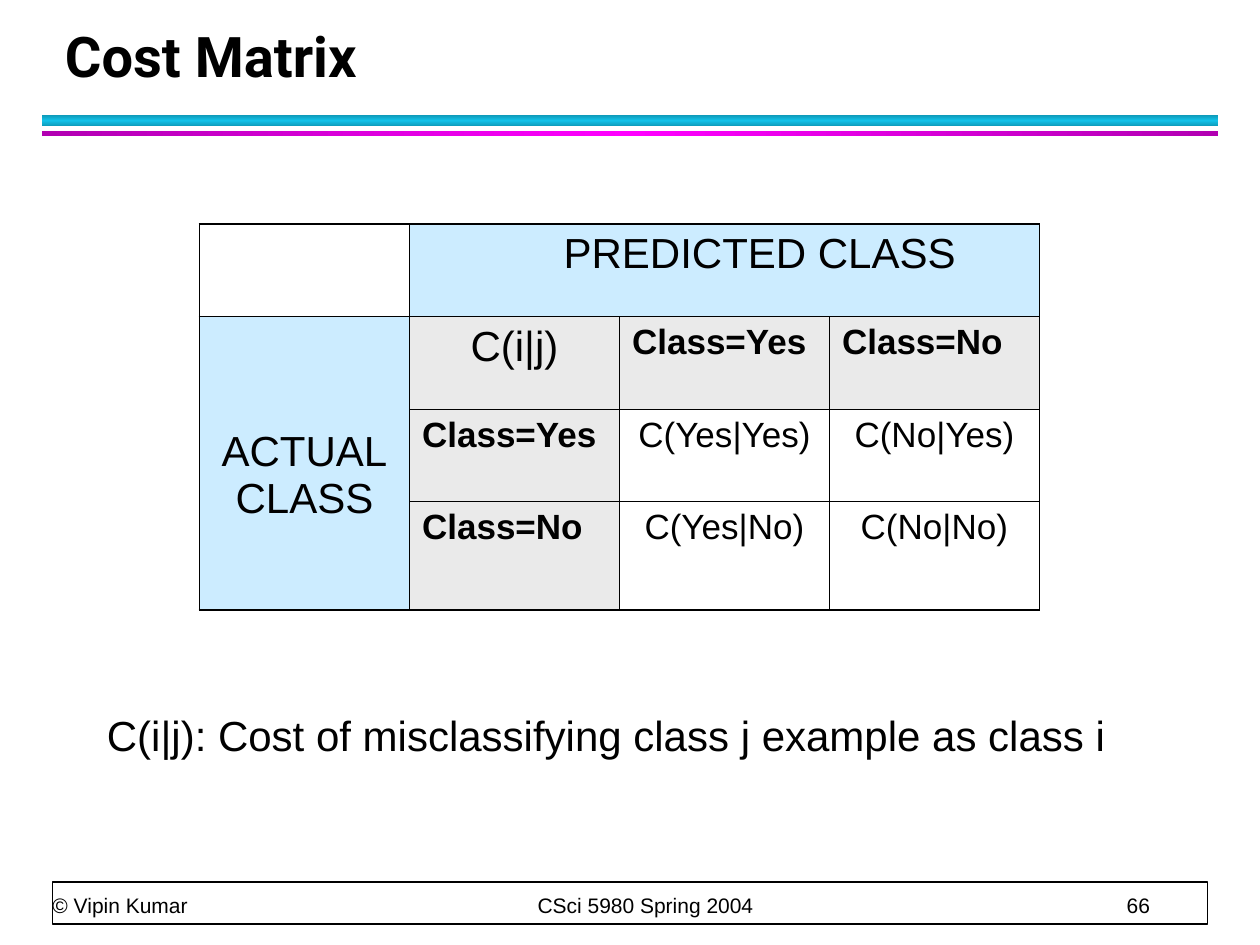
from copy import deepcopy
from lxml import etree
from pptx import Presentation, util as u
from pptx.dml.color import RGBColor
from pptx.enum import shapes, text
from pptx.oxml import ns

BLACK = RGBColor(0, 0, 0)
WHITE = RGBColor(255, 255, 255)
SKY = RGBColor(0xCC, 0xEC, 0xFF)
GREY = RGBColor(0xEA, 0xEA, 0xEA)
TEAL, CYAN = RGBColor(0x0E, 0x9B, 0xBA), RGBColor(0x12, 0xC2, 0xE9)
PURPLE, MAGENTA = RGBColor(0xB2, 0, 0xB2), RGBColor(255, 0, 255)
WIDTH, HEIGHT = u.Inches(10), u.Inches(7.5)


def place(x, y, w, h):
    """Turn percentages of the slide into lengths."""
    return [round(share * size / 100)
            for share, size in zip((x, y, w, h), (WIDTH, HEIGHT) * 2)]


def style(p, size, bold=False, font="Arial"):
    """Format all runs of a paragraph."""
    for r in p.runs:
        r.font.name, r.font.size, r.font.bold = font, u.Pt(size), bold
        r.font.color.rgb = BLACK


def add_rect(s, box):
    """Add a rectangle without a shadow."""
    sp = s.shapes.add_shape(shapes.MSO_SHAPE.RECTANGLE, *place(*box))
    sp.shadow.inherit = False
    return sp


def add_text(s, box, words, size, bold=False, font="Arial", spacing=None,
             anchor=text.MSO_ANCHOR.TOP):
    """Add a wrapped one-paragraph text box."""
    tf = s.shapes.add_textbox(*place(*box)).text_frame
    tf.word_wrap, tf.vertical_anchor = True, anchor
    p = tf.paragraphs[0]
    p.text = words
    p.line_spacing = spacing
    style(p, size, bold, font)
    return tf


def add_band(s, box, edge, middle, angle):
    """Add a bar whose gradient runs from edge to middle and back."""
    sp = add_rect(s, box)
    sp.line.fill.background()
    sp.fill.gradient()
    sp.fill.gradient_angle = angle
    stops = sp.fill.gradient_stops
    for stop, color, position in zip(stops, (edge, middle), (0, 0.5)):
        stop.color.rgb, stop.position = color, position
    gs_list = sp.fill._fill._gradFill.find(ns.qn("a:gsLst"))
    last = deepcopy(gs_list[0])
    last.set("pos", "100000")
    gs_list.append(last)


def add_footer(s, box):
    """Add the framed footer line with tabbed parts."""
    x, y, w, h = box
    frame = add_rect(s, (x, y + h / 2, w, h * 0.6))
    frame.fill.solid()
    frame.fill.fore_color.rgb = WHITE
    frame.line.color.rgb, frame.line.width = BLACK, u.Pt(1)
    tf = add_text(s, box, "© Vipin Kumar\tCSci 5980 Spring 2004\t66", 12,
                  spacing=u.Pt(20), anchor=text.MSO_ANCHOR.BOTTOM)
    tf.margin_left = tf.margin_right = tf.margin_top = tf.margin_bottom = 0
    tabs = etree.SubElement(tf.paragraphs[0]._p.get_or_add_pPr(), ns.qn("a:tabLst"))
    for share in (0.42, 0.93):
        position = round(place(*box)[2] * share)
        etree.SubElement(tabs, ns.qn("a:tab"), pos=str(position), algn="l")


def set_borders(cell, outer):
    """Draw four borders, thicker on the sides named in outer."""
    tc_pr = cell._tc.get_or_add_tcPr()
    for i, side in enumerate("LRTB"):
        width = u.Pt(1.08 if side in outer else 0.45)
        ln = etree.Element(ns.qn(f"a:ln{side}"), w=str(int(width)))
        fill = etree.SubElement(ln, ns.qn("a:solidFill"))
        etree.SubElement(fill, ns.qn("a:srgbClr"), val=str(BLACK))
        tc_pr.insert(i, ln)


def fill_cell(cell, words, size, bold, color):
    """Write one cell and set its fill."""
    cell.text = words
    for p in cell.text_frame.paragraphs:
        p.alignment = text.PP_ALIGN.LEFT if bold else text.PP_ALIGN.CENTER
        style(p, size, bold)
    if color is None:
        cell.fill.background()
    else:
        cell.fill.solid()
        cell.fill.fore_color.rgb = color


def add_matrix(s, box):
    """Add the cost matrix table with merged class headings."""
    x, y, w, h = place(*box)
    table = s.shapes.add_table(4, 4, x, y, w, h).table
    table.first_row = table.horz_banding = False
    for col in table.columns:
        col.width = w // 4
    for row, share in zip(table.rows, (0.24, 0.24, 0.24, 0.28)):
        row.height = round(h * share)
    predicted, actual = table.cell(0, 1), table.cell(1, 0)
    predicted.merge(table.cell(0, 3))
    actual.merge(table.cell(3, 0))
    labels = ["Class=Yes", "Class=No"]
    rows = [["", "PREDICTED CLASS", "", ""],
            ["ACTUAL\vCLASS", "C(i|j)", *labels],
            ["", labels[0], "C(Yes|Yes)", "C(No|Yes)"],
            ["", labels[1], "C(Yes|No)", "C(No|No)"]]
    for i, row in enumerate(rows):
        for j, words in enumerate(row):
            cell = table.cell(i, j)
            if cell.is_spanned:
                continue
            heading = cell.is_merge_origin
            color = SKY if heading else GREY if words and 1 in (i, j) else None
            size = 24 if heading or words == "C(i|j)" else 20
            fill_cell(cell, words, size, words in labels, color)
            edges = {"L": j == 0, "T": i == 0,
                     "R": j + cell.span_width == 4,
                     "B": i + cell.span_height == 4}
            set_borders(cell, [side for side, on in edges.items() if on])
    predicted.margin_left = u.Inches(0.66)
    actual.vertical_anchor = text.MSO_ANCHOR.MIDDLE
    actual.margin_top = u.Inches(0.24)


def main():
    """Build and save the slide."""
    prs = Presentation()
    prs.slide_width, prs.slide_height = WIDTH, HEIGHT
    s = prs.slides.add_slide(prs.slide_layouts[6])
    add_band(s, (3.33, 12.2, 93.33, 1.15), TEAL, CYAN, 90)
    add_band(s, (3.33, 13.87, 93.33, 0.55), PURPLE, MAGENTA, 0)
    add_footer(s, (4.17, 89.6, 91.67, 7.47))
    add_text(s, (4.17, 2.27, 90.6, 7.73), "Cost Matrix", 32, True, "Roboto",
             u.Pt(36), text.MSO_ANCHOR.BOTTOM)
    add_matrix(s, (15.83, 23.73, 66.67, 40.8))
    add_text(s, (7.5, 74.4, 85.8, 13.33),
             "C(i|j): Cost of misclassifying class j example as class i", 24)
    prs.save("out.pptx")


if __name__ == "__main__":
    main()
